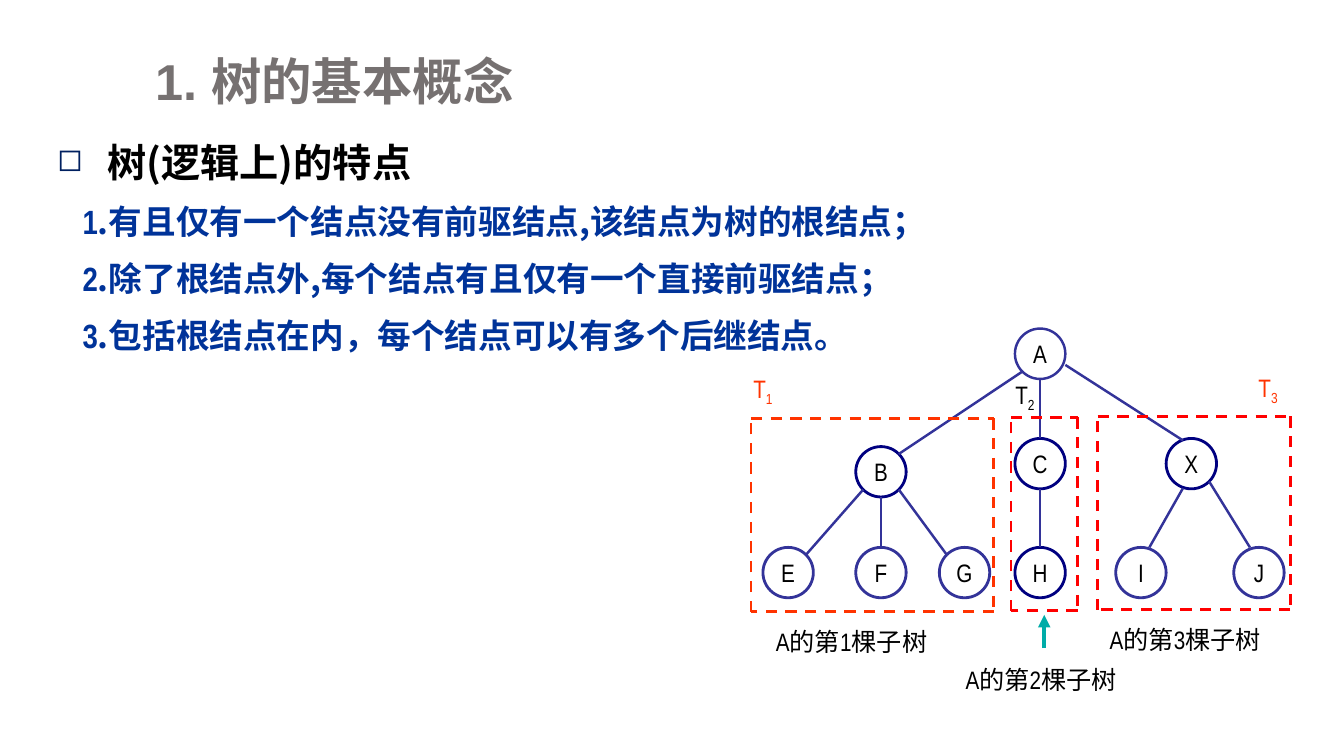
import lxml.etree
import pptx
import pptx.dml.color
import pptx.enum.dml
import pptx.enum.shapes
import pptx.enum.text
import pptx.oxml.ns
import pptx.util

Pt = pptx.util.Pt
RGBColor = pptx.dml.color.RGBColor
Align = pptx.enum.text.PP_ALIGN
Anchor = pptx.enum.text.MSO_ANCHOR
qn = pptx.oxml.ns.qn

BLACK = RGBColor(0, 0, 0)
GRAY = RGBColor(0x76, 0x71, 0x71)
BLUE = RGBColor(0x00, 0x33, 0x99)
DARK_BLUE = RGBColor(0x00, 0x20, 0x60)
INDIGO = RGBColor(0x33, 0x33, 0x99)
NAVY = RGBColor(0x00, 0x00, 0x80)
RED = RGBColor(0xFF, 0, 0)
ORANGE = RGBColor(0xFF, 0x33, 0)
TEAL = RGBColor(0x00, 0xAC, 0xA8)

NARROW = "Arial Narrow"
CJK = "Noto Sans CJK SC"
RADIUS = 18
DIAGONAL = 12.7

NODES = {
    "A": (743, 252.7, INDIGO), "B": (629.3, 337, NAVY),
    "C": (743, 331.2, NAVY), "X": (851, 331.2, NAVY),
    "E": (563, 409, INDIGO), "F": (629.3, 409, INDIGO),
    "G": (689, 409, INDIGO), "H": (743, 409, NAVY),
    "I": (815, 409, INDIGO), "J": (899.3, 409, INDIGO),
}
LOWER_LEFT, LOWER_RIGHT = (-DIAGONAL, DIAGONAL), (DIAGONAL, DIAGONAL)
UPPER_LEFT, UPPER_RIGHT = (-DIAGONAL, -DIAGONAL), (DIAGONAL, -DIAGONAL)
BOTTOM, TOP = (0, RADIUS), (0, -RADIUS)
EDGES = [
    ("A", LOWER_LEFT, "B", UPPER_RIGHT),
    ("A", BOTTOM, "C", TOP),
    ("A", (18, 8), "X", (-6, -16.6)),
    ("B", LOWER_LEFT, "E", UPPER_RIGHT),
    ("B", BOTTOM, "F", TOP),
    ("B", LOWER_RIGHT, "G", UPPER_LEFT),
    ("C", BOTTOM, "H", TOP),
    ("X", (-6, 17.5), "I", (6, -RADIUS)),
    ("X", LOWER_RIGHT, "J", (-6.5, -RADIUS)),
]
FEATURES = [
    "有且仅有一个结点没有前驱结点,该结点为树的根结点；",
    "除了根结点外,每个结点有且仅有一个直接前驱结点；",
    "包括根结点在内，每个结点可以有多个后继结点。",
]
SUBTREES = [
    (1, (536.4, 298.8, 709.9, 437), ORANGE, (530.6, 262.8), ORANGE, (547.2, 443.5)),
    (2, (722.2, 298.1, 769.7, 436.3), RED, (717.8, 267.1), BLACK, (682.6, 470.9)),
    (3, (784.1, 297.4, 921.6, 435.6), RED, (891.4, 262.1), ORANGE, (785.5, 442.1)),
]


def add_span(para, text, size=18, font=NARROW, color=BLACK, bold=False, baseline=0):
    span = para.add_run()
    span.text = text
    span.font.size = Pt(size)
    span.font.name = font
    span.font.bold = bold
    span.font.color.rgb = color
    properties = span._r.get_or_add_rPr()
    if baseline:
        properties.set("baseline", str(baseline * 1000))
    latin = properties.find(qn("a:latin"))
    east_asian = lxml.etree.Element(qn("a:ea"), typeface=CJK)
    latin.addnext(east_asian)


def add_box(page, left, top, width, height, wrap=True, align=None, anchor=Anchor.TOP):
    box = page.shapes.add_textbox(Pt(left), Pt(top), Pt(width), Pt(height))
    box.text_frame.word_wrap = wrap
    box.text_frame.vertical_anchor = anchor
    para = box.text_frame.paragraphs[0]
    para.alignment = align
    return para


def add_bullet(para):
    properties = para._p.get_or_add_pPr()
    properties.set("marL", str(Pt(36)))
    properties.set("indent", str(-Pt(36)))
    bullet_color = lxml.etree.SubElement(properties, qn("a:buClr"))
    lxml.etree.SubElement(bullet_color, qn("a:srgbClr"), val=str(DARK_BLUE))
    lxml.etree.SubElement(properties, qn("a:buSzPct"), val="80000")
    lxml.etree.SubElement(properties, qn("a:buChar"), char="◻")


def add_line(page, start, end, color, width=1.75, dashed=False, arrow=False):
    line = page.shapes.add_connector(
        pptx.enum.shapes.MSO_CONNECTOR.STRAIGHT, *map(Pt, (*start, *end)))
    line.line.color.rgb = color
    line.line.width = Pt(width)
    if dashed:
        line.line.dash_style = pptx.enum.dml.MSO_LINE.DASH
    if arrow:
        lxml.etree.SubElement(line.line._get_or_add_ln(), qn("a:tailEnd"), type="triangle")
    lxml.etree.SubElement(line._element.spPr, qn("a:effectLst"))


def add_node(page, name, center_x, center_y, color):
    node = page.shapes.add_shape(
        pptx.enum.shapes.MSO_SHAPE.OVAL, Pt(center_x - RADIUS), Pt(center_y - RADIUS),
        Pt(2 * RADIUS), Pt(2 * RADIUS))
    node.shadow.inherit = False
    node.fill.background()
    node.line.color.rgb = color
    node.line.width = Pt(1.75 if name == "A" else 2)
    node.text_frame.word_wrap = False
    node.text_frame.vertical_anchor = Anchor.MIDDLE
    para = node.text_frame.paragraphs[0]
    para.alignment = Align.CENTER
    add_span(para, name)


def add_edge(page, parent, parent_offset, child, child_offset):
    ends = [
        (NODES[name][0] + offset[0], NODES[name][1] + offset[1])
        for name, offset in ((parent, parent_offset), (child, child_offset))
    ]
    add_line(page, *ends, INDIGO)


def add_subtree(page, number, frame, frame_color, tag_place, tag_color, caption_place):
    left, top, right, bottom = frame
    corners = [(left, top), (right, top), (right, bottom), (left, bottom)]
    for index, corner in enumerate(corners):
        add_line(page, corners[index - 1], corner, frame_color, width=2, dashed=True)
    tag = add_box(page, *tag_place, 28.8, 28.8, wrap=False, align=Align.CENTER)
    add_span(tag, "T", color=tag_color)
    add_span(tag, str(number), color=tag_color, baseline=-25)
    caption = add_box(page, *caption_place, 155, 28.8)
    add_span(caption, f"A的第{number}棵子树")


def main():
    deck = pptx.Presentation()
    deck.slide_width = Pt(960)
    deck.slide_height = Pt(540)
    page = deck.slides.add_slide(deck.slide_layouts[6])

    title = add_box(page, 103.7, 29.5, 339, 61.2, anchor=Anchor.MIDDLE)
    title.line_spacing = 0.9
    add_span(title, "1. 树的基本概念", size=36, font="Arial", color=GRAY, bold=True)

    heading = add_box(page, 33.8, 88.6, 340.6, 44)
    heading.line_spacing = 1.2
    add_bullet(heading)
    add_span(heading, "树(逻辑上)的特点", size=28, font=CJK, bold=True)

    for index, feature in enumerate(FEATURES):
        para = add_box(page, 52, 139.7 + 40.7 * index, 645, 36)
        add_span(para, str(index + 1), size=24, color=BLUE, bold=True)
        add_span(para, "." + feature, size=24, font=CJK, color=BLUE, bold=True)

    for name, node in NODES.items():
        add_node(page, name, *node)
    for edge in EDGES:
        add_edge(page, *edge)
    for subtree in SUBTREES:
        add_subtree(page, *subtree)
    add_line(page, (745.9, 463), (745.9, 439.2), TEAL, width=3, arrow=True)

    deck.save("out.pptx")


if __name__ == "__main__":
    main()
